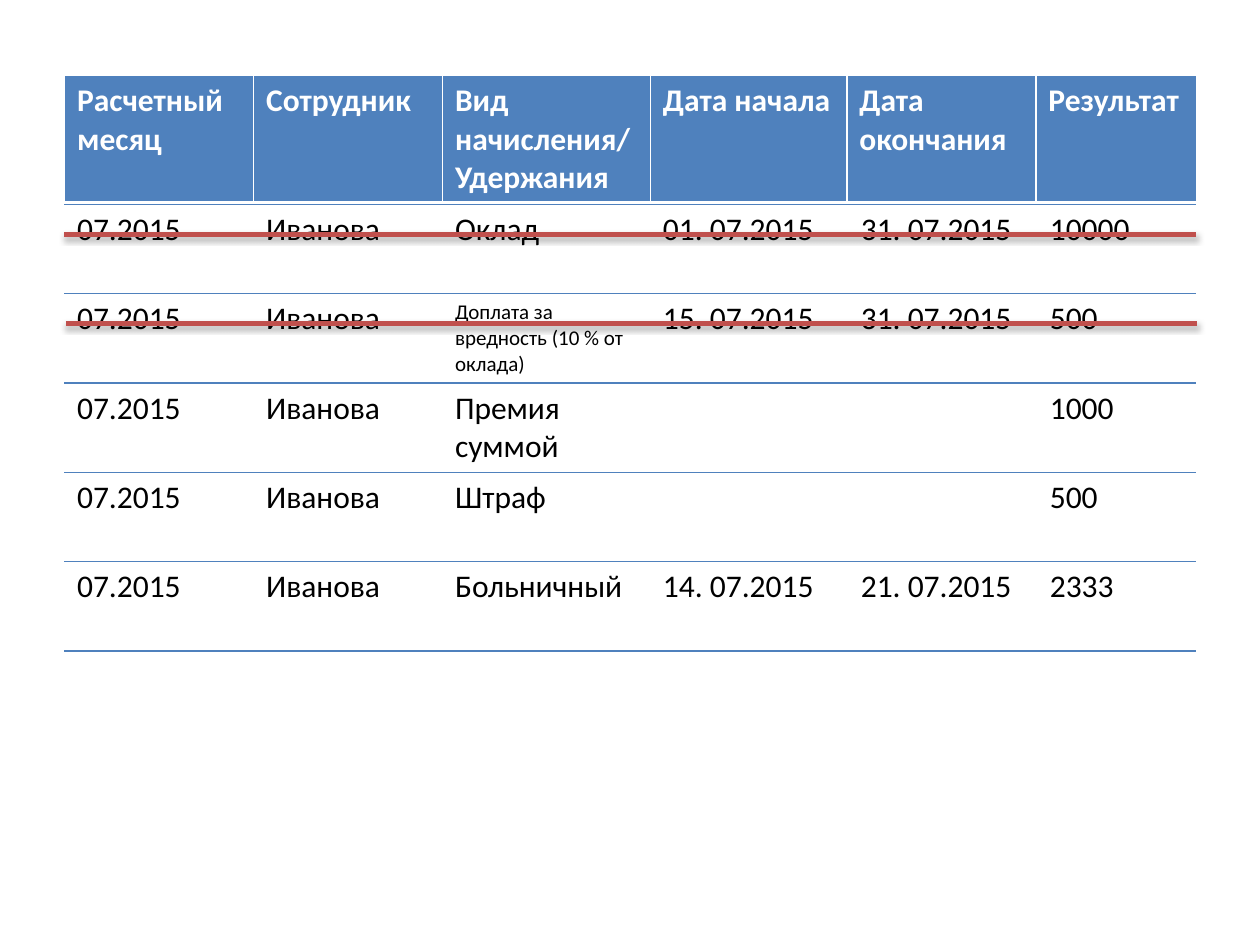
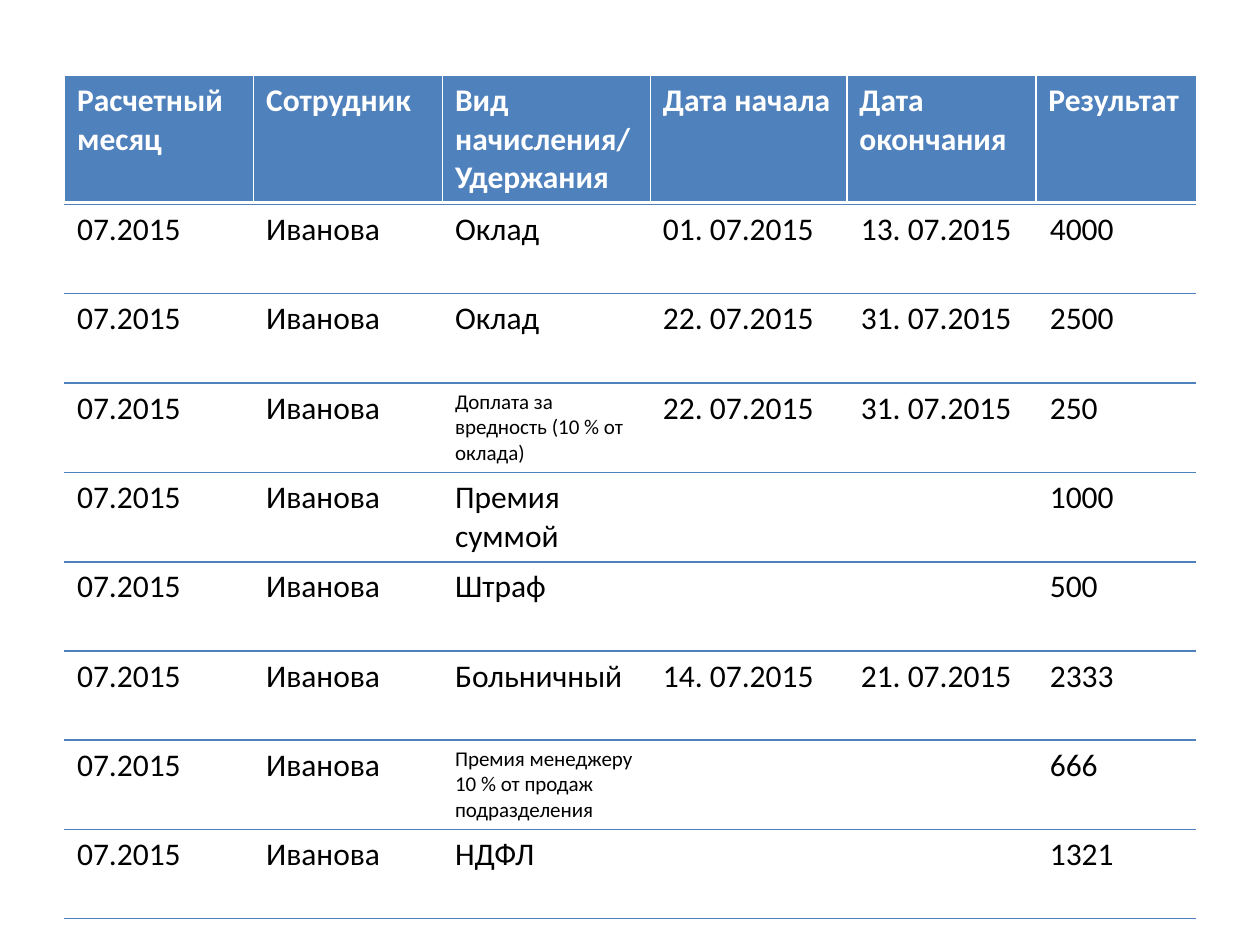
import lxml.etree
import pptx
import pptx.dml.color
import pptx.enum.shapes
import pptx.oxml
import pptx.oxml.ns
import pptx.util

Cm = pptx.util.Cm
Pt = pptx.util.Pt
RGB = pptx.dml.color.RGBColor
qn = pptx.oxml.ns.qn

# Colours
BLUE = RGB(0x4F, 0x81, 0xBD)
RED = RGB(0xC0, 0x50, 0x4D)
WHITE = RGB(0xFF, 0xFF, 0xFF)
BLACK = RGB(0, 0, 0)

# Grid, in centimetres
LEFT, TOP = 1.3, 1.52
FIRST, PITCH = 4.12, 1.8
HEAD_WIDTHS = (3.81, 3.81, 4.19, 3.96, 3.81, 3.25)
ROW_WIDTHS = (3.81, 3.81, 4.19, 3.99, 3.81, 3.2)

# Text and edges of the two kinds of table
HEAD = {"name": "Calibri", "size": Pt(18), "bold": True}
BODY = {"name": "Calibri", "size": Pt(18), "bold": False}
NOTE = {**BODY, "size": Pt(12)}
LONG = 20  # entries above this length take the small size
HEAD_EDGES = {"L": (WHITE, 1), "R": (WHITE, 1), "T": (WHITE, 1), "B": (WHITE, 3)}
ROW_EDGES = {"T": (BLUE, 1), "B": (BLUE, 1)}

# Wording
TITLES = ("Расчетный месяц", "Сотрудник", "Вид начисления/Удержания",
          "Дата начала", "Дата окончания", "Результат")
MONTH, NAME = "07.2015", "Иванова"
HARM = "Доплата за вредность (10 % от оклада)"
BONUS = ("Премия суммой", "", "", "1000")
FINE = ("Штраф", "", "", "500")
SICK = ("Больничный", "14. 07.2015", "21. 07.2015", "2333")
BEFORE = (
    ("Оклад", "01. 07.2015", "31. 07.2015", "10000"),
    (HARM, "15. 07.2015", "31. 07.2015", "500"),
    BONUS, FINE, SICK,
)
AFTER = (
    ("Оклад", "01. 07.2015", "13. 07.2015", "4000"),
    ("Оклад", "22. 07.2015", "31. 07.2015", "2500"),
    (HARM, "22. 07.2015", "31. 07.2015", "250"),
    BONUS, FINE, SICK,
    ("Премия менеджеру 10 % от продаж подразделения", "", "", "666"),
    ("НДФЛ", "", "", "1321"),
)


class Deck:
    def __init__(self):
        self.file = pptx.Presentation()
        self.file.slide_width, self.file.slide_height = Cm(25.4), Cm(19.05)
        self.slide = None

    def page(self):
        self.slide = self.file.slides.add_slide(self.file.slide_layouts[6])

    def edge(self, cell, edges):
        props = cell._tc.get_or_add_tcPr()
        for side in "LRTB":
            line = lxml.etree.SubElement(props, qn(f"a:ln{side}"))
            if side not in edges:
                lxml.etree.SubElement(line, qn("a:noFill"))
                continue
            tint, width = edges[side]
            line.set("w", str(Pt(width)))
            fill = lxml.etree.SubElement(line, qn("a:solidFill"))
            lxml.etree.SubElement(fill, qn("a:srgbClr")).set("val", str(tint))

    def label(self, cell, text, form, tint):
        if not text:
            return
        run = cell.text_frame.paragraphs[0].add_run()
        run.text = text
        for key, value in form.items():
            setattr(run.font, key, value)
        run.font.color.rgb = tint

    def strip(self, top, high, widths, edges):
        """Add a table of one row and return its cells."""
        frame = self.slide.shapes.add_table(
            1, len(widths), Cm(LEFT), Cm(top), Cm(sum(widths)), Cm(high))
        table = frame.table
        table.first_row = table.horz_banding = False
        for col, width in zip(table.columns, widths):
            col.width = Cm(width)
        cells = list(table.rows[0].cells)
        for cell in cells:
            self.edge(cell, edges)
        return cells

    def head(self):
        cells = self.strip(TOP, 2.54, HEAD_WIDTHS, HEAD_EDGES)
        for cell, text in zip(cells, TITLES):
            cell.fill.solid()
            cell.fill.fore_color.rgb = BLUE
            self.label(cell, text, HEAD, WHITE)

    def row(self, index, entry):
        top = FIRST + index * PITCH
        cells = self.strip(top, PITCH, ROW_WIDTHS, ROW_EDGES)
        for cell, text in zip(cells, (MONTH, NAME, *entry)):
            cell.fill.background()
            self.label(cell, text, NOTE if len(text) > LONG else BODY, BLACK)

    def strike(self, index):
        left = LEFT + 0.03 * index
        y = Cm(FIRST + index * PITCH + 0.6)
        line = self.slide.shapes.add_connector(
            pptx.enum.shapes.MSO_CONNECTOR.STRAIGHT,
            Cm(left), y, Cm(left + sum(ROW_WIDTHS)), y)
        line.line.color.rgb = RED
        line.line.width = Pt(3)
        shade = pptx.oxml.parse_xml(
            f'<a:effectLst {pptx.oxml.ns.nsdecls("a")}>'
            f'<a:outerShdw blurRad="{Pt(3.1)}" dist="{Pt(1.8)}" dir="5400000" rotWithShape="0">'
            '<a:srgbClr val="000000"><a:alpha val="35000"/></a:srgbClr>'
            '</a:outerShdw></a:effectLst>')
        line._element.spPr.append(shade)

    def sheet(self, entries, struck=0):
        self.page()
        self.head()
        for index, entry in enumerate(entries):
            self.row(index, entry)
        for index in range(struck):
            self.strike(index)


def main():
    deck = Deck()
    # Accruals before the recount, the first two crossed out
    deck.sheet(BEFORE, struck=2)
    # Accruals after the recount
    deck.sheet(AFTER)
    deck.file.save("out.pptx")


if __name__ == "__main__":
    main()
